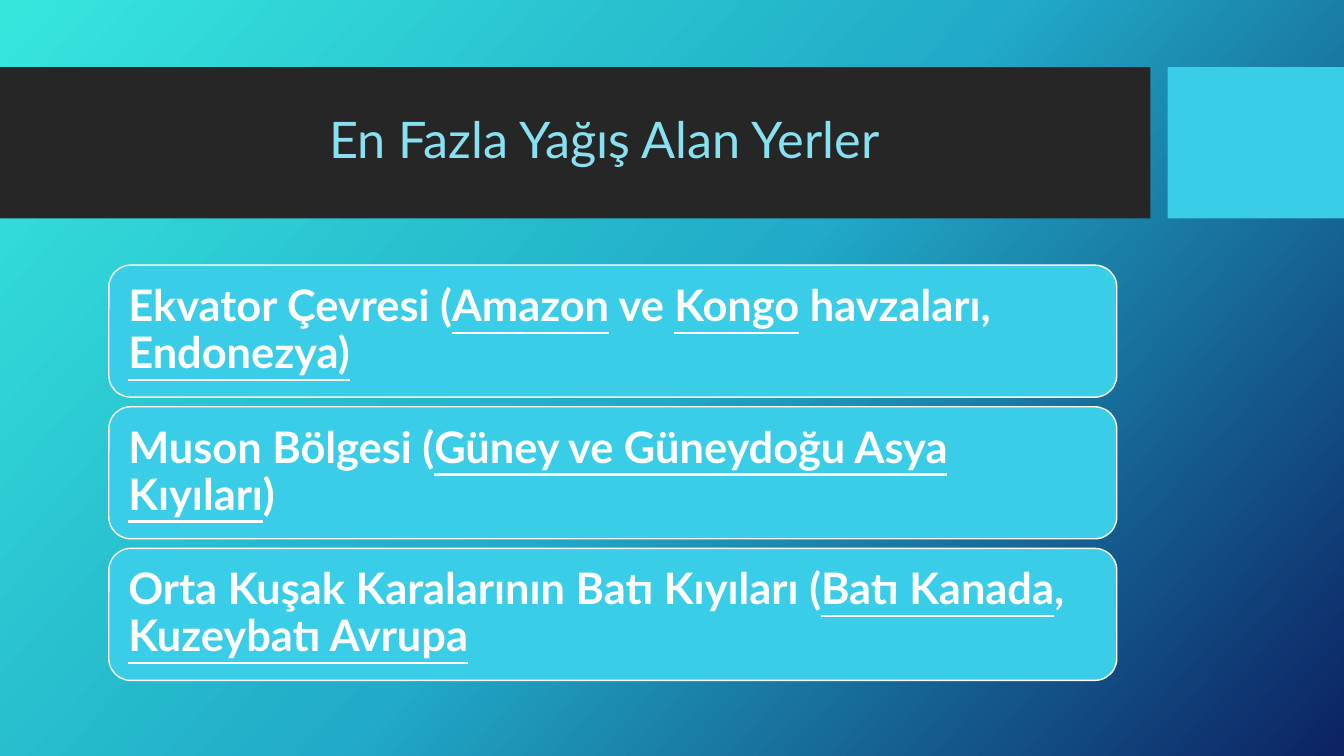
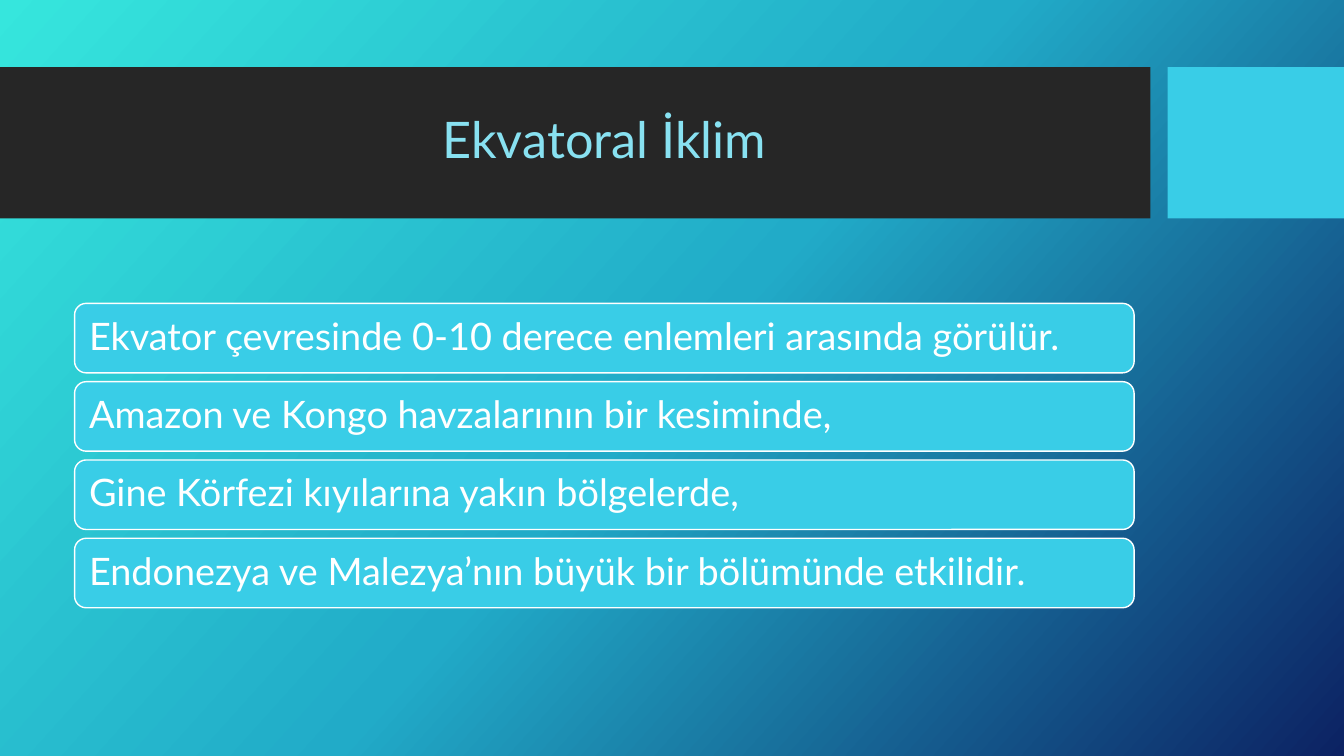
from copy import deepcopy
from dataclasses import dataclass

from pptx import Presentation
from pptx.dml.color import RGBColor as Rgb
from pptx.enum.shapes import MSO_SHAPE as Form
from pptx.enum.text import MSO_ANCHOR as Anchor, MSO_AUTO_SIZE as Fit, PP_ALIGN as Align
from pptx.oxml.ns import qn
from pptx.util import Inches, Pt

WIDE, HIGH = Inches(40 / 3), Inches(7.5)
FONT = "Lato"
HUES = {
    "dark": "262626", "cyan": "39CDE7", "pale": "88E1F1", "white": "FFFFFF",
    "start": "36E6DD", "mid": "21ABC8", "end": "0C2263",
}
FADE = ((0, "start"), (0.5, "mid"), (1, "end"))


@dataclass(frozen=True)
class Box:
    """Place and size in percent of the slide."""
    left: float
    top: float
    width: float
    height: float

    def spot(self) -> dict:
        return {
            "left": round(WIDE * self.left / 100), "top": round(HIGH * self.top / 100),
            "width": round(WIDE * self.width / 100), "height": round(HIGH * self.height / 100),
        }


@dataclass(frozen=True)
class Page:
    title: str
    area: Box
    gap: float      # percent of the slide height
    inset: float    # inches
    size: int
    bold: bool
    rows: tuple     # each row: runs, every second one underlined


BANDS = ((Box(0, 8.9, 85.6, 20), "dark"), (Box(86.87, 8.9, 13.13, 20), "cyan"))
HEAD = Box(5.55, 10.93, 78.84, 15.73)
PAGES = (
    Page("En Fazla Yağış Alan Yerler", Box(8.1, 35.07, 75, 54.93), 1.27, 0.13, 31, True, (
        ("Ekvator Çevresi (", "Amazon", " ve ", "Kongo", " havzaları, ", "Endonezya)"),
        ("Muson Bölgesi (", "Güney ve Güneydoğu Asya Kıyıları", ")"),
        ("Orta Kuşak Karalarının Batı Kıyıları (", "Batı Kanada", ", ", "Kuzeybatı Avrupa"),
    )),
    Page("Ekvatoral İklim", Box(5.55, 40.13, 78.84, 40.27), 1.16, 0.11, 27, False, (
        ("Ekvator çevresinde 0-10 derece enlemleri arasında görülür.",),
        ("Amazon ve Kongo havzalarının bir kesiminde,",),
        ("Gine Körfezi kıyılarına yakın bölgelerde,",),
        ("Endonezya ve Malezya’nın büyük bir bölümünde etkilidir.",),
    )),
)


def put(item, marks: dict) -> None:
    for name, value in marks.items():
        setattr(item, name, value)


def tint(name: str) -> Rgb:
    return Rgb.from_string(HUES[name])


def block(slide, box: Box, form, hue: str):
    shape = slide.shapes.add_shape(form, **box.spot())
    shape.shadow.inherit = False
    shape.fill.solid()
    shape.fill.fore_color.rgb = tint(hue)
    shape.line.fill.background()
    return shape


def write(frame, runs: tuple, hue: str, align, font: dict) -> None:
    put(frame, {"word_wrap": True, "auto_size": Fit.NONE, "vertical_anchor": Anchor.MIDDLE})
    para = frame.paragraphs[0]
    put(para, {"alignment": align, "line_spacing": 0.9})
    for i, text in enumerate(runs):
        run = para.add_run()
        run.text = text
        put(run.font, {"name": FONT, "underline": i % 2 == 1, **font})
        run.font.color.rgb = tint(hue)


def backdrop(master) -> None:
    fill = master.background.fill
    fill.gradient()
    fill.gradient_angle = 360 - 42
    stops = master.element.find(".//" + qn("a:gsLst"))
    stops.append(deepcopy(stops[-1]))
    for stop, (place, hue) in zip(fill.gradient_stops, FADE):
        stop.position = place
        stop.color.rgb = tint(hue)


def header(slide, text: str) -> None:
    # Bands lie behind the title
    for box, hue in BANDS:
        block(slide, box, Form.RECTANGLE, hue)
    title = slide.shapes.title
    title.element.getparent().append(title.element)
    put(title, HEAD.spot())
    write(title.text_frame, (text,), "pale", Align.CENTER, {"size": Pt(36)})


def cards(slide, page: Page) -> None:
    # Equal cards share the area
    area, count = page.area, len(page.rows)
    tall = (area.height - page.gap * (count - 1)) / count
    for i, runs in enumerate(page.rows):
        box = Box(area.left, area.top + i * (tall + page.gap), area.width, tall)
        card = block(slide, box, Form.ROUNDED_RECTANGLE, "cyan")
        card.line.color.rgb = tint("white")
        card.line.width = Pt(1)
        sides = ("left", "top", "right", "bottom")
        put(card.text_frame, {f"margin_{side}": Inches(page.inset) for side in sides})
        write(card.text_frame, runs, "white", Align.LEFT,
              {"size": Pt(page.size), "bold": page.bold})


def main() -> None:
    deck = Presentation()
    put(deck, {"slide_width": WIDE, "slide_height": HIGH})
    backdrop(deck.slide_master)
    for page in PAGES:
        slide = deck.slides.add_slide(deck.slide_layouts.get_by_name("Title Only"))
        header(slide, page.title)
        cards(slide, page)
    deck.save("out.pptx")


if __name__ == "__main__":
    main()
